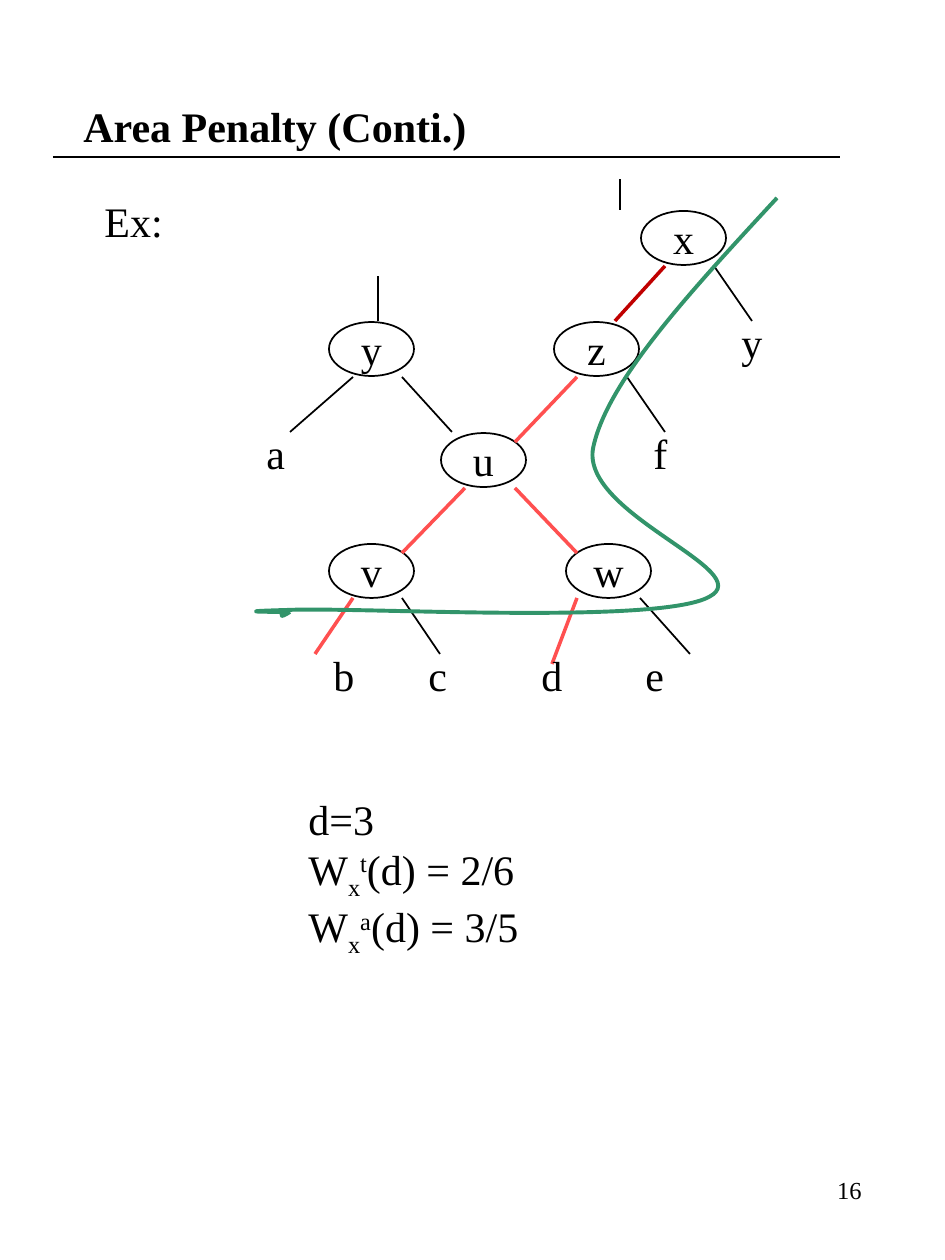
import pptx
import pptx.util
import pptx.dml.color
import pptx.enum.shapes
import pptx.enum.text
import pptx.oxml.ns
import lxml.etree

FONT = "Times New Roman"
BLACK, WHITE, RED, DARK, GREEN = "000000", "FFFFFF", "FF5050", "C00000", "32946A"
ALIGN = pptx.enum.text.PP_ALIGN
MID = pptx.enum.text.MSO_ANCHOR.MIDDLE
SCALE = 914400 / 126
OVAL = (85, 54)

NODES = [("x", 641, 211), ("y", 329, 322), ("z", 554, 322),
         ("u", 441, 433), ("w", 566, 544), ("v", 329, 544)]
LEAVES = [("a", 254, 421, 44), ("f", 641, 421, 39), ("y", 729, 310, 47)]
THIN = [(620, 210, 620, 179), (378, 321, 378, 276),
        (353, 377, 290, 432), (402, 377, 452, 432),
        (640, 598, 690, 654), (402, 598, 440, 654),
        (627, 377, 665, 432), (714, 266, 752, 321)]
BOLD = [(515, 488, 577, 553), (465, 488, 402, 553), (353, 598, 315, 654),
        (577, 598, 552, 664), (577, 377, 515, 442)]
LEFT, TOP, RIGHT, BASE = 255, 198, 777, 616
CURVES = [((692, 290), (606, 382), (593, 449)),
          ((582, 515), (760, 571), (709, 597)),
          ((658, 625), (359, 607), (289, 610)),
          ((217, 612), (285, 612), (285, 612)),
          ((284, 612), (281, 610), (281, 610)),
          ((281, 611), (282, 616), (282, 616)),
          ((284, 616), (290, 612), (290, 612))]


def px(n):
    return pptx.util.Emu(round(n * SCALE))


def color(code):
    return pptx.dml.color.RGBColor.from_string(code)


def add(parent, tag, **attrs):
    return lxml.etree.SubElement(parent, pptx.oxml.ns.qn(tag), **attrs)


def write(frame, *lines, size=24, bold=False, align=ALIGN.LEFT, anchor=None, tabs=()):
    frame.word_wrap = False
    if anchor is not None:
        frame.vertical_anchor = anchor
    for i, line in enumerate(lines):
        para = frame.add_paragraph() if i else frame.paragraphs[0]
        para.alignment = align
        if tabs:
            stops = add(para._p.get_or_add_pPr(), "a:tabLst")
            for stop in tabs:
                add(stops, "a:tab", pos=str(px(stop)), algn="l")
        runs = [(line, 0)] if isinstance(line, str) else line
        for text, base in runs:
            run = para.add_run()
            run.text = text
            font = run.font
            font.name, font.size, font.bold = FONT, pptx.util.Pt(size), bold
            font.color.rgb = color(BLACK)
            if base:
                run._r.get_or_add_rPr().set("baseline", str(base * 1000))


def label(slide, box, *lines, **form):
    shape = slide.shapes.add_textbox(*map(px, box))
    write(shape.text_frame, *lines, **form)


def stroke(shape, code, width):
    shape.line.color.rgb = color(code)
    shape.line.width = pptx.util.Pt(width)


def node(slide, text, x, y):
    kind = pptx.enum.shapes.MSO_SHAPE.OVAL
    shape = slide.shapes.add_shape(kind, px(x), px(y), *map(px, OVAL))
    shape.shadow.inherit = False
    shape.fill.solid()
    shape.fill.fore_color.rgb = color(WHITE)
    fill = shape._element.spPr.find(pptx.oxml.ns.qn("a:solidFill"))
    add(fill[0], "a:alpha", val="50000")
    stroke(shape, BLACK, 1)
    write(shape.text_frame, text, align=ALIGN.CENTER, anchor=MID)


def edge(slide, ends, code=BLACK, width=1):
    kind = pptx.enum.shapes.MSO_CONNECTOR.STRAIGHT
    line = slide.shapes.add_connector(kind, *map(px, ends))
    stroke(line, code, width)
    add(line._element.spPr, "a:effectLst")


def curve(slide):
    build = slide.shapes.build_freeform(RIGHT, TOP, scale=SCALE)
    build.add_line_segments([(LEFT, BASE)], close=False)
    shape = build.convert_to_shape()
    route = next(shape._element.iter(pptx.oxml.ns.qn("a:path")))
    route.remove(route[-1])
    for part in CURVES:
        bend = add(route, "a:cubicBezTo")
        for x, y in part:
            add(bend, "a:pt", x=str(x - LEFT), y=str(y - TOP))
    shape.shadow.inherit = False
    shape.fill.background()
    stroke(shape, GREEN, 2.25)


def weight(top, value):
    return [("W", 0), ("x", -25), (top, 30), (f"(d) = {value}", 0)]


def main():
    deck = pptx.Presentation()
    deck.slide_width, deck.slide_height = px(945), px(1260)
    slide = deck.slides.add_slide(deck.slide_layouts[6])
    label(slide, (71, 42, 803, 167), "Area Penalty (Conti.)", bold=True, anchor=MID)
    edge(slide, (53, 157, 840, 157))
    label(slide, (296, 787, 236, 178), "d=3", weight("t", "2/6"), weight("a", "3/5"))
    label(slide, (92, 189, 84, 63), "Ex:")
    for item in NODES:
        node(slide, *item)
    for ends in THIN:
        edge(slide, ends)
    for ends in BOLD:
        edge(slide, ends, RED, 2)
    edge(slide, (665, 266, 615, 321), DARK, 2)
    for text, x, y, width in LEAVES:
        label(slide, (x, y, width, 63), text)
    label(slide, (321, 643, 357, 63), "b\tc\td\te", tabs=(95, 208, 312))
    label(slide, (678, 1148, 196, 84), "16", size=14, align=ALIGN.RIGHT, anchor=MID)
    curve(slide)
    deck.save("out.pptx")


if __name__ == "__main__":
    main()
